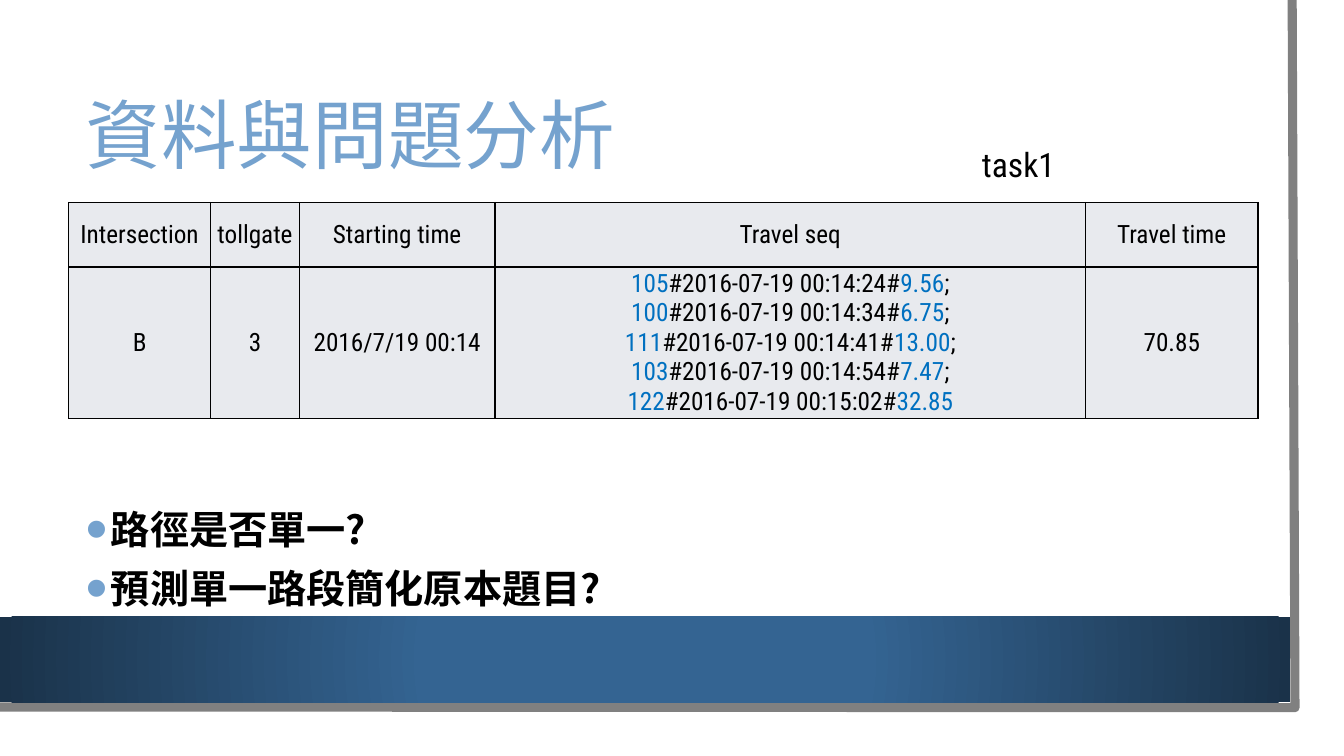
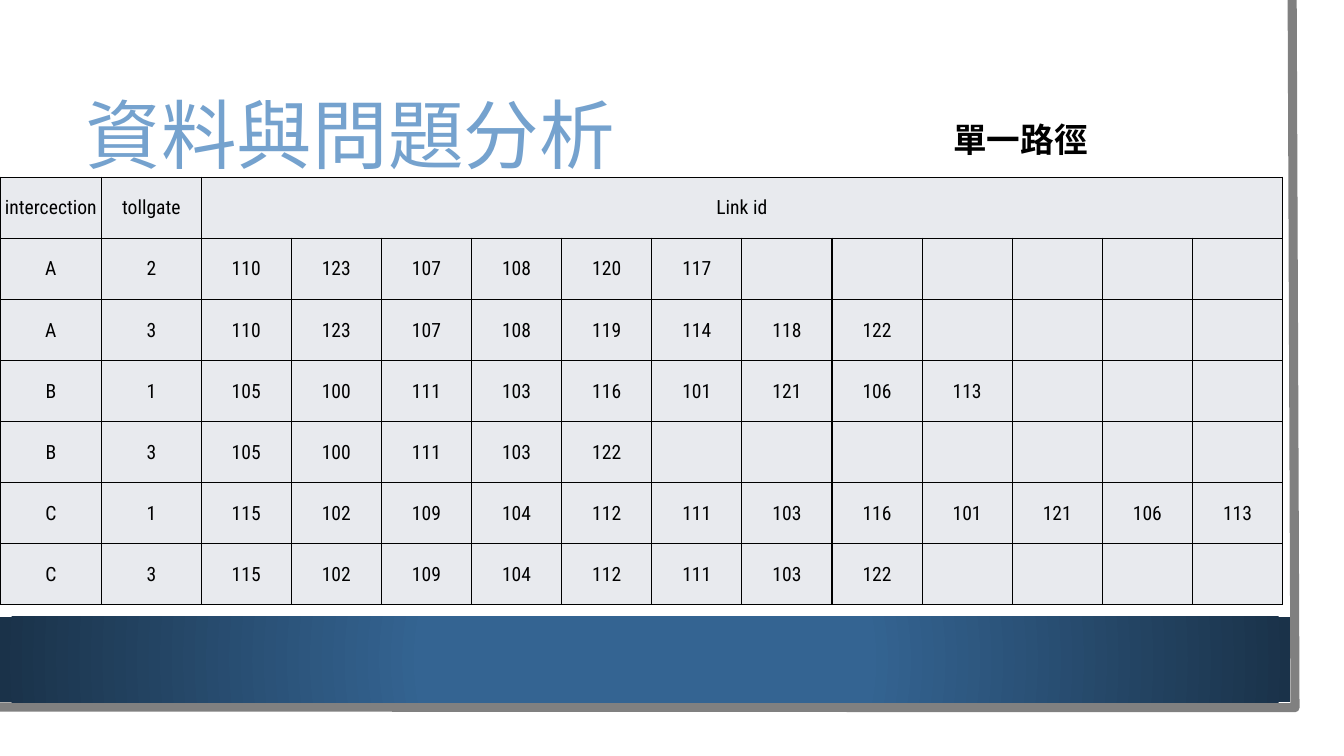
"""Build two slides on travel-time data, with a shared frame, band and title style."""
from lxml import etree
from pptx import Presentation
from pptx.dml.color import RGBColor
from pptx.enum import shapes, text
from pptx.oxml import parse_xml
from pptx.oxml.ns import nsdecls, qn
from pptx.util import Pt

rgb = RGBColor.from_string
LATIN, CJK = "Roboto Condensed", "Noto Sans CJK SC"
BLACK, WHITE, GRAY, CELL = "000000", "FFFFFF", "808080", "E8EAEE"
SKY, LINK, BAND, BAND_EDGE = "75A2CE", "0070C0", "346492", "1A3249"


def style(p, size, name=LATIN, color=BLACK, bold=False, align=text.PP_ALIGN.CENTER):
    p.alignment = align
    p.font.size, p.font.name, p.font.bold = Pt(size), name, bold
    p.font.color.rgb = rgb(color)
    latin = p._p.pPr.find(qn("a:defRPr")).find(qn("a:latin"))
    latin.addnext(parse_xml(f'<a:ea {nsdecls("a")} typeface="{CJK}"/>'))


def add_grid(s, left, top, widths, heights, rows, size, margin):
    frame = s.shapes.add_table(len(heights), len(widths), Pt(left), Pt(top),
                               Pt(sum(widths)), Pt(sum(heights)))
    table = frame.table
    table.first_row = table.horz_banding = False
    for col, width in zip(table.columns, widths):
        col.width = Pt(width)
    for row, height, values in zip(table.rows, heights, rows):
        row.height = Pt(height)
        values = values + [""] * (len(widths) - len(values))
        for cell, value in zip(row.cells, values):
            cell.margin_left = cell.margin_right = cell.margin_top = Pt(margin)
            cell.margin_bottom = 0
            cell.vertical_anchor = text.MSO_ANCHOR.MIDDLE
            cell.text = value
            for p in cell.text_frame.paragraphs:
                style(p, size)
            tcPr = cell._tc.get_or_add_tcPr()
            for side in ("lnL", "lnR", "lnT", "lnB"):
                tcPr.append(parse_xml(
                    f'<a:{side} {nsdecls("a")} w="{Pt(1)}"><a:solidFill>'
                    f'<a:srgbClr val="{BLACK}"/></a:solidFill></a:{side}>'))
            cell.fill.solid()
            cell.fill.fore_color.rgb = rgb(CELL)
    return table


prs = Presentation()
prs.slide_width, prs.slide_height = Pt(960), Pt(540)
master = prs.slide_master
data = prs.slides.add_slide(prs.slide_layouts[1])
routes = prs.slides.add_slide(prs.slide_layouts[5])

card = data.shapes.add_shape(shapes.MSO_SHAPE.RECTANGLE, 0, 0, Pt(943), Pt(523.5))
card.fill.solid()
card.fill.fore_color.rgb = rgb(WHITE)
card.line.fill.background()

builder = data.shapes.build_freeform(Pt(923), 0)
builder.add_line_segments([(Pt(925), Pt(505.5)), (Pt(-2), Pt(505))], close=False)
edge = builder.convert_to_shape()
edge.fill.background()
edge.line.color.rgb = rgb(GRAY)
edge.line.width = Pt(6.5)

band = data.shapes.add_shape(shapes.MSO_SHAPE.RECTANGLE, 0, Pt(440.6), Pt(921.6), Pt(61.2))
band.line.fill.background()
band.fill.gradient()
for stop, color, position in zip(band.fill.gradient_stops, (BAND, BAND_EDGE), (0.34, 1)):
    stop.color.rgb = rgb(color)
    stop.position = position
grad = band.element.spPr.find(qn("a:gradFill"))
grad.remove(grad.find(qn("a:lin")))
radial = etree.SubElement(grad, qn("a:path"), {"path": "circle"})
etree.SubElement(radial, qn("a:fillToRect"), dict.fromkeys("ltrb", "50000"))

for i, sp in enumerate((card, edge, band)):
    sp.shadow.inherit = False
    sp.element.nvSpPr.cNvPr.set("id", str(100 + i))
    master.shapes.element.insert(2 + i, sp.element)

for sp in master.placeholders:
    if sp.placeholder_format.type == shapes.PP_PLACEHOLDER.TITLE:
        sp.left, sp.top, sp.width, sp.height = Pt(54), Pt(54), Pt(819), Pt(90.5)

labels = [(data, "task1", 657.5, 99.5, LATIN, False),
          (routes, "單一路徑", 659, 81.5, CJK, True)]
for s, label, left, top, name, bold in labels:
    tf = s.shapes.title.text_frame
    tf.text = "資料與問題分析"
    tf.auto_size = text.MSO_AUTO_SIZE.NONE
    tf.vertical_anchor = text.MSO_ANCHOR.MIDDLE
    style(tf.paragraphs[0], 54, color=SKY, align=text.PP_ALIGN.LEFT)
    tf.paragraphs[0].line_spacing = 0.9

    tf = s.shapes.add_textbox(Pt(left), Pt(top), Pt(140), Pt(36)).text_frame
    tf.word_wrap = True
    tf.auto_size = text.MSO_AUTO_SIZE.SHAPE_TO_FIT_TEXT
    tf.text = label
    style(tf.paragraphs[0], 24, name, bold=bold)

body = data.placeholders[1]
body.left, body.top, body.width, body.height = Pt(54), Pt(340), Pt(819), Pt(100.5)
tf = body.text_frame
tf.auto_size = text.MSO_AUTO_SIZE.NONE
tf.vertical_anchor = text.MSO_ANCHOR.BOTTOM
tf.text = "路徑是否單一?\n預測單一路段簡化原本題目?"
for p in tf.paragraphs:
    style(p, 28, CJK, bold=True, align=text.PP_ALIGN.LEFT)
    p.line_spacing, p.space_before = 1.0, Pt(9)
    pPr = p._p.pPr
    pPr.set("marL", str(Pt(18)))
    pPr.set("indent", str(Pt(-18)))
    for bullet in (f'<a:buClr {nsdecls("a")}><a:srgbClr val="{SKY}"/></a:buClr>',
                   f'<a:buSzPct {nsdecls("a")} val="160000"/>',
                   f'<a:buFont {nsdecls("a")} typeface="Arial"/>',
                   f'<a:buChar {nsdecls("a")} char="•"/>'):
        pPr.find(qn("a:defRPr")).addprevious(parse_xml(bullet))

sequence = """105#2016-07-19 00:14:24#9.56;
100#2016-07-19 00:14:34#6.75;
111#2016-07-19 00:14:41#13.00;
103#2016-07-19 00:14:54#7.47;
122#2016-07-19 00:15:02#32.85"""
trip = [["Intersection", "tollgate", "Starting time", "Travel seq", "Travel time"],
        ["B", "3", "2016/7/19 00:14", sequence, "70.85"]]
table = add_grid(data, 49, 144.7, [101.5, 63.4, 139.7, 421.9, 123.1], [46, 108], trip, 18, 0)
for p in table.cell(1, 3).text_frame.paragraphs:
    link, start, seconds = p.text.split("#")
    p.clear()
    value = seconds.rstrip(";")
    for part, color in ((link, LINK), (f"#{start}#", BLACK), (value, LINK),
                        (seconds[len(value):], BLACK)):
        if part:
            r = p.add_run()
            r.text = part
            r.font.color.rgb = rgb(color)

links = ["A 2 110 123 107 108 120 117",
         "A 3 110 123 107 108 119 114 118 122",
         "B 1 105 100 111 103 116 101 121 106 113",
         "B 3 105 100 111 103 122",
         "C 1 115 102 109 104 112 111 103 116 101 121 106 113",
         "C 3 115 102 109 104 112 111 103 122"]
rows = [["intercection", "tollgate", "Link id"]] + [line.split() for line in links]
table = add_grid(routes, 0, 126.5, [72.7, 71] + [64.4] * 12, [43.65] * 7, rows, 14, 0.7)
table.cell(0, 2).merge(table.cell(0, 13))

prs.save("out.pptx")
